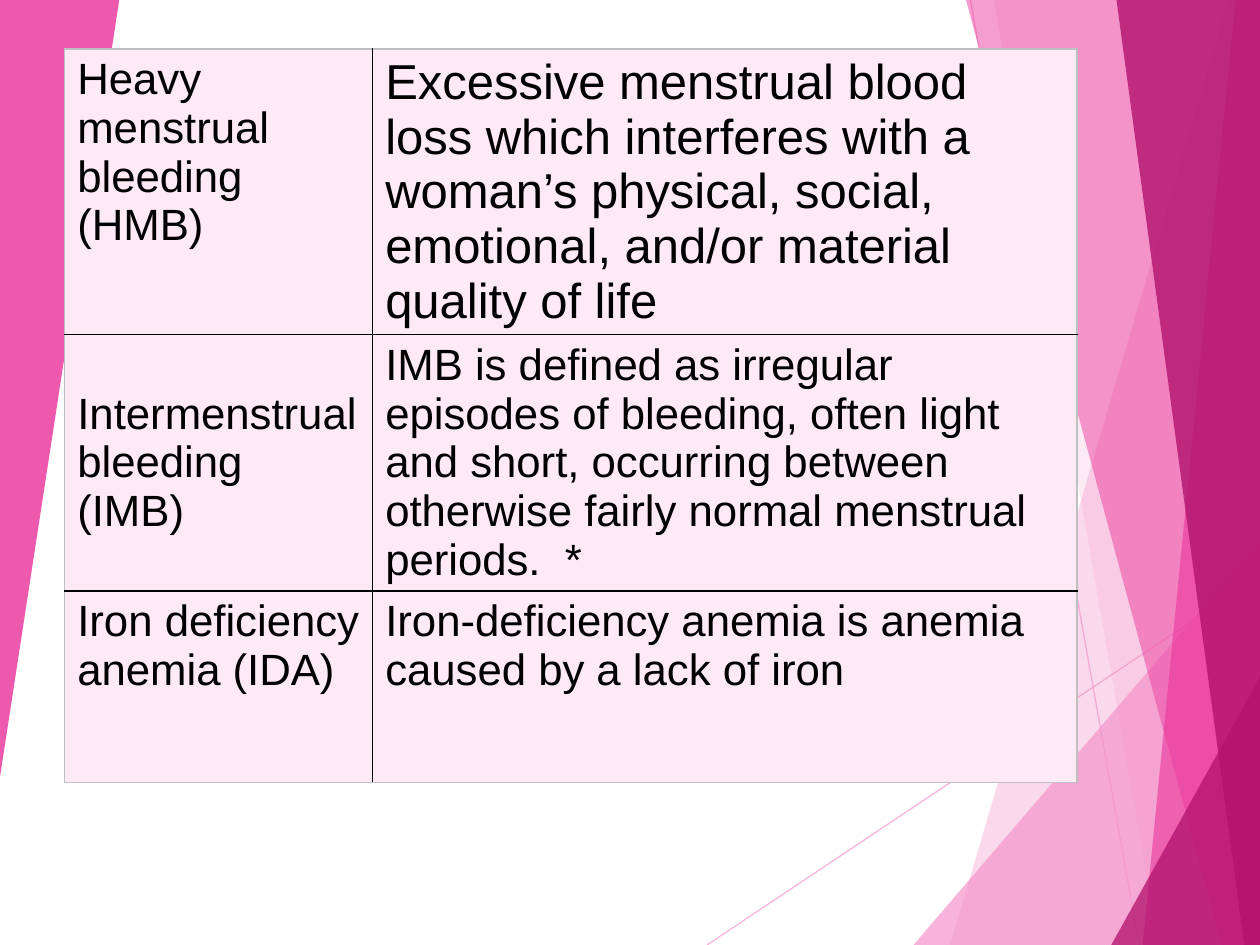
from lxml import etree
from pptx import Presentation, util as u
from pptx.dml.color import RGBColor
from pptx.enum import shapes
from pptx.oxml.ns import qn

Pt = u.Pt
LIGHT = RGBColor(0xF4, 0x96, 0xCB)
PINK = RGBColor(0xEB, 0x3D, 0x9F)
DARK = RGBColor(0xB2, 0x13, 0x6D)
CELL = RGBColor(0xFD, 0xEA, 0xF5)
BLACK = RGBColor(0, 0, 0)
GREY = RGBColor(0xBF, 0xBF, 0xBF)


def set_alpha(el, percent):
    clr = el.find(".//" + qn("a:srgbClr"))
    etree.SubElement(clr, qn("a:alpha"), val=str(percent * 1000))


def set_border(cell, side, color):
    ln = etree.SubElement(cell._tc.get_or_add_tcPr(), qn("a:" + side), w=str(Pt(1)))
    fill = etree.SubElement(ln, qn("a:solidFill"))
    etree.SubElement(fill, qn("a:srgbClr"), val=str(color))


prs = Presentation()
prs.slide_width, prs.slide_height = Pt(720), Pt(540)
s = prs.slides.add_slide(prs.slide_layouts[6])

# Thin diagonal lines
for x1, y1, x2, y2 in [(404, 540, 720, 329), (554.5, 0, 651, 540)]:
    ln = s.shapes.add_connector(shapes.MSO_CONNECTOR.STRAIGHT,
                                Pt(x1), Pt(y1), Pt(x2), Pt(y2))
    ln.line.color.rgb = LIGHT
    ln.line.width = Pt(0.75)
    spPr = ln._element.spPr
    set_alpha(spPr, 70)
    etree.SubElement(spPr, qn("a:effectLst"))

# Translucent facets: colour, opacity in percent, corners
facets = [
    (LIGHT, 36, [(702, 0), (543, 540), (720, 540), (720, 0)]),
    (LIGHT, 20, [(567.5, 0), (661.5, 540), (720, 540), (720, 0)]),
    (LIGHT, 72, [(522.5, 540), (720, 309), (720, 540)]),
    (PINK, 50, [(552, 0), (698.5, 540), (720, 540), (720, 0)]),
    (PINK, 66, [(706.5, 0), (653, 540), (720, 540), (720, 0)]),
    (DARK, 80, [(637.5, 0), (711, 540), (720, 540), (720, 0)]),
    (DARK, 76, [(635, 540), (720, 387), (720, 540)]),
    (PINK, 85, [(0, 0), (67.5, 0), (67.5, 1), (0, 443.5)]),
]
for color, alpha, pts in facets:
    fb = s.shapes.build_freeform(*pts[0], scale=Pt(1))
    fb.add_line_segments(pts[1:], close=True)
    sp = fb.convert_to_shape()
    sp.shadow.inherit = False
    sp.fill.solid()
    sp.fill.fore_color.rgb = color
    set_alpha(sp._element.spPr, alpha)
    sp.line.fill.background()

# Definitions table: term, definition, definition size
rows = [
    ("Heavy menstrual bleeding (HMB)",
     "Excessive menstrual blood loss which interferes with a woman’s physical, "
     "social, emotional, and/or material quality of life", 28),
    (" Intermenstrual bleeding (IMB)",
     "IMB is defined as irregular episodes of bleeding, often light and short, "
     "occurring between otherwise fairly normal menstrual periods.  *", 25),
    ("Iron deficiency anemia (IDA)",
     "Iron-deficiency anemia is anemia caused by a lack of iron", 25),
]
widths, heights = [176, 402.5], [163, 146.5, 109.5]
tbl = s.shapes.add_table(3, 2, Pt(37), Pt(28), Pt(sum(widths)), Pt(sum(heights))).table
tbl.first_row = tbl.horz_banding = False
for col, w in zip(tbl.columns, widths):
    col.width = Pt(w)
for i, (term, definition, size) in enumerate(rows):
    tbl.rows[i].height = Pt(heights[i])
    for j, (words, sz) in enumerate([(term, 25), (definition, size)]):
        cell = tbl.cell(i, j)
        # Grey outer frame, black inner rules
        outer = {"lnL": j == 0, "lnR": j == 1, "lnT": i == 0, "lnB": i == 2}
        for side, is_outer in outer.items():
            set_border(cell, side, GREY if is_outer else BLACK)
        cell.fill.solid()
        cell.fill.fore_color.rgb = CELL
        r = cell.text_frame.paragraphs[0].add_run()
        r.text = words
        r.font.name = "Arial"
        r.font.size = Pt(sz)
        r.font.color.rgb = BLACK

prs.save("out.pptx")
